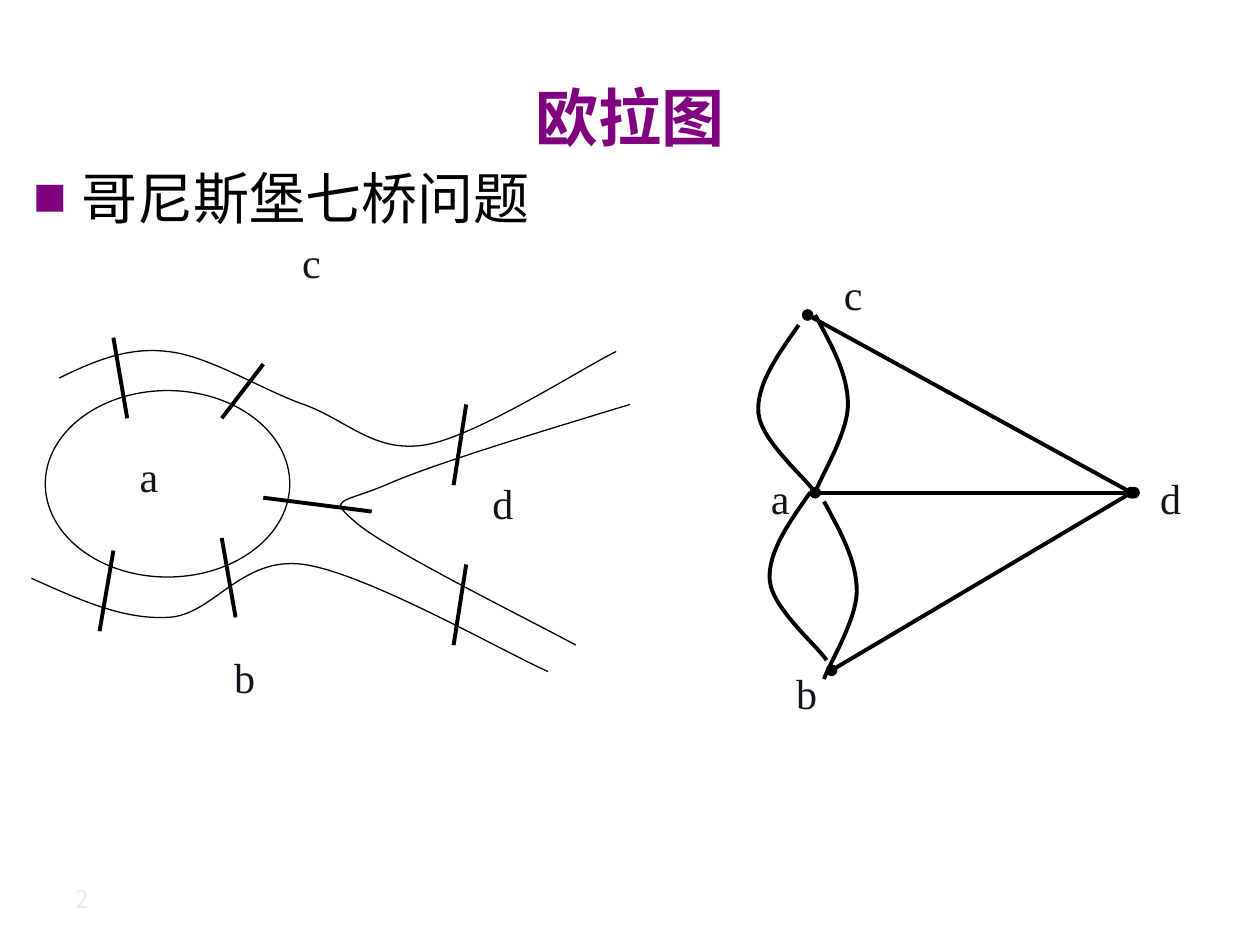
from lxml import etree
from pptx import Presentation
from pptx.dml.color import RGBColor
from pptx.enum import shapes, text
from pptx.oxml.ns import qn
from pptx.util import Inches, Pt

BLACK, PURPLE, INK, PALE = "000000", "800080", "13131B", "EAEAE0"
SANS, SERIF = "Noto Sans CJK SC", "Times New Roman"
THIN, THICK = 0.75, 2.25

SHORES = [
    [(0.47, 3), (0.74, 2.87), (1.01, 2.75), (1.33, 2.79), (1.65, 2.82),
     (2.07, 3.09), (2.41, 3.21), (2.75, 3.33), (2.97, 3.6), (3.38, 3.53),
     (3.79, 3.46), (4.64, 2.91), (4.89, 2.79)],
    [(0.25, 4.59), (0.61, 4.75), (0.97, 4.92), (1.33, 4.9), (1.69, 4.89),
     (1.91, 4.41), (2.41, 4.48), (2.91, 4.55), (3.99, 5.17), (4.35, 5.33)],
    [(5, 3.21), (4.21, 3.45), (3.42, 3.69), (3.06, 3.85), (2.7, 4),
     (2.59, 3.95), (2.84, 4.16), (3.09, 4.37), (4.24, 4.94), (4.57, 5.12)],
]
BRIDGES = [
    (1.76, 3.32, 2.09, 2.89), (1.01, 3.32, 0.9, 2.68),
    (1.87, 4.9, 1.76, 4.27), (0.79, 5.01, 0.9, 4.37),
    (3.6, 5.12, 3.7, 4.48), (3.6, 3.85, 3.7, 3.21),
    (2.09, 3.95, 2.95, 4.06),
]
EDGES = [(8.98, 3.91, 6.41, 2.5), (8.98, 3.91, 6.6, 5.32),
         (9, 3.91, 6.47, 3.91)]
LEFT = [(0, 0), (-0.17, 0.24), (-0.34, 0.48), (-0.32, 0.7),
        (-0.3, 0.92), (0.06, 1.22), (0.13, 1.33)]
RIGHT = [(0, 0), (0.13, 0.24), (0.26, 0.47), (0.26, 0.71),
         (0.26, 0.94), (0.04, 1.29), (0, 1.41)]
ARCS = [(6.34, 2.58, LEFT), (6.43, 3.91, LEFT),
        (6.47, 2.5, RIGHT), (6.54, 3.98, RIGHT)]
LANDS = [("a", 1.01, 3.53), ("b", 1.76, 5.12), ("d", 3.81, 3.74),
         ("c", 2.3, 1.83)]
NODES = [("c", 6.6, 2.08), ("a", 6.02, 3.7), ("b", 6.22, 5.25),
         ("d", 9.11, 3.7)]


def color(hue):
    return RGBColor.from_string(hue)


def stroke(item, width):
    item.line.color.rgb = color(BLACK)
    item.line.width = Pt(width)


def write(slide, box, words, size, hue, font, bold=False, gap=0):
    frame = slide.shapes.add_textbox(*map(Inches, box)).text_frame
    frame.word_wrap = True
    para = frame.paragraphs[0]
    para.space_before = Pt(gap)
    run = para.add_run()
    run.text = words
    run.font.size, run.font.name, run.font.bold = Pt(size), font, bold
    run.font.color.rgb = color(hue)
    face = etree.SubElement(run.font._element, qn("a:ea"))
    face.set("typeface", font)
    return frame


def bullet(para):
    props = para._p.get_or_add_pPr()
    props.set("marL", str(Inches(0.38)))
    props.set("indent", str(-Inches(0.38)))
    tint = etree.SubElement(props, qn("a:buClr"))
    etree.SubElement(tint, qn("a:srgbClr")).set("val", PURPLE)
    etree.SubElement(props, qn("a:buSzPct")).set("val", "60000")
    etree.SubElement(props, qn("a:buFont")).set("typeface", SANS)
    etree.SubElement(props, qn("a:buChar")).set("char", "■")


def line(slide, ends, dots=False):
    item = slide.shapes.add_connector(
        shapes.MSO_CONNECTOR.STRAIGHT, *map(Inches, ends))
    stroke(item, THICK)
    if dots:
        for tag in ("a:headEnd", "a:tailEnd"):
            etree.SubElement(item.line._ln, qn(tag)).set("type", "oval")
    etree.SubElement(item._element.spPr, qn("a:effectLst"))


def curve(slide, points, width):
    spots = [(Inches(x), Inches(y)) for x, y in points]
    maker = slide.shapes.build_freeform(*spots[0])
    maker.add_line_segments(spots[1:], close=False)
    item = maker.convert_to_shape()
    item.shadow.inherit = False
    item.fill.background()
    stroke(item, width)
    track = item._element.find(".//" + qn("a:path"))
    steps = track.findall(qn("a:lnTo"))
    for start in range(0, len(steps), 3):
        bend = etree.SubElement(track, qn("a:cubicBezTo"))
        for step in steps[start:start + 3]:
            bend.append(step[0])
            track.remove(step)


def island(slide):
    item = slide.shapes.add_shape(
        shapes.MSO_SHAPE.OVAL, *map(Inches, (0.36, 3.1, 1.94, 1.48)))
    item.shadow.inherit = False
    item.fill.background()
    stroke(item, THIN)


def labels(slide, names, width):
    for name, x, y in names:
        write(slide, (x, y, width, 0.5), name, 24, INK, SERIF, gap=2)


def river(slide):
    island(slide)
    for shore in SHORES:
        curve(slide, shore, THIN)
    for bridge in BRIDGES:
        line(slide, bridge)
    labels(slide, LANDS, 0.56)


def graph(slide):
    for edge in EDGES:
        line(slide, edge, dots=True)
    for x, y, arc in ARCS:
        curve(slide, [(x + dx, y + dy) for dx, dy in arc], THICK)
    labels(slide, NODES, 0.34)


def main():
    deck = Presentation()
    deck.slide_width, deck.slide_height = Inches(10), Inches(7.5)
    slide = deck.slides.add_slide(deck.slide_layouts[6])
    title = write(slide, (0.5, 0.3, 9, 1.25), "欧拉图", 36, PURPLE, SANS, True)
    title.vertical_anchor = text.MSO_ANCHOR.MIDDLE
    title.paragraphs[0].alignment = text.PP_ALIGN.CENTER
    river(slide)
    graph(slide)
    topic = write(slide, (0.17, 1.25, 9.33, 0.63), "哥尼斯堡七桥问题",
                  32, BLACK, SANS)
    bullet(topic.paragraphs[0])
    write(slide, (0.5, 6.97, 0.6, 0.35), "2", 14, PALE, SANS)
    deck.save("out.pptx")


if __name__ == "__main__":
    main()
